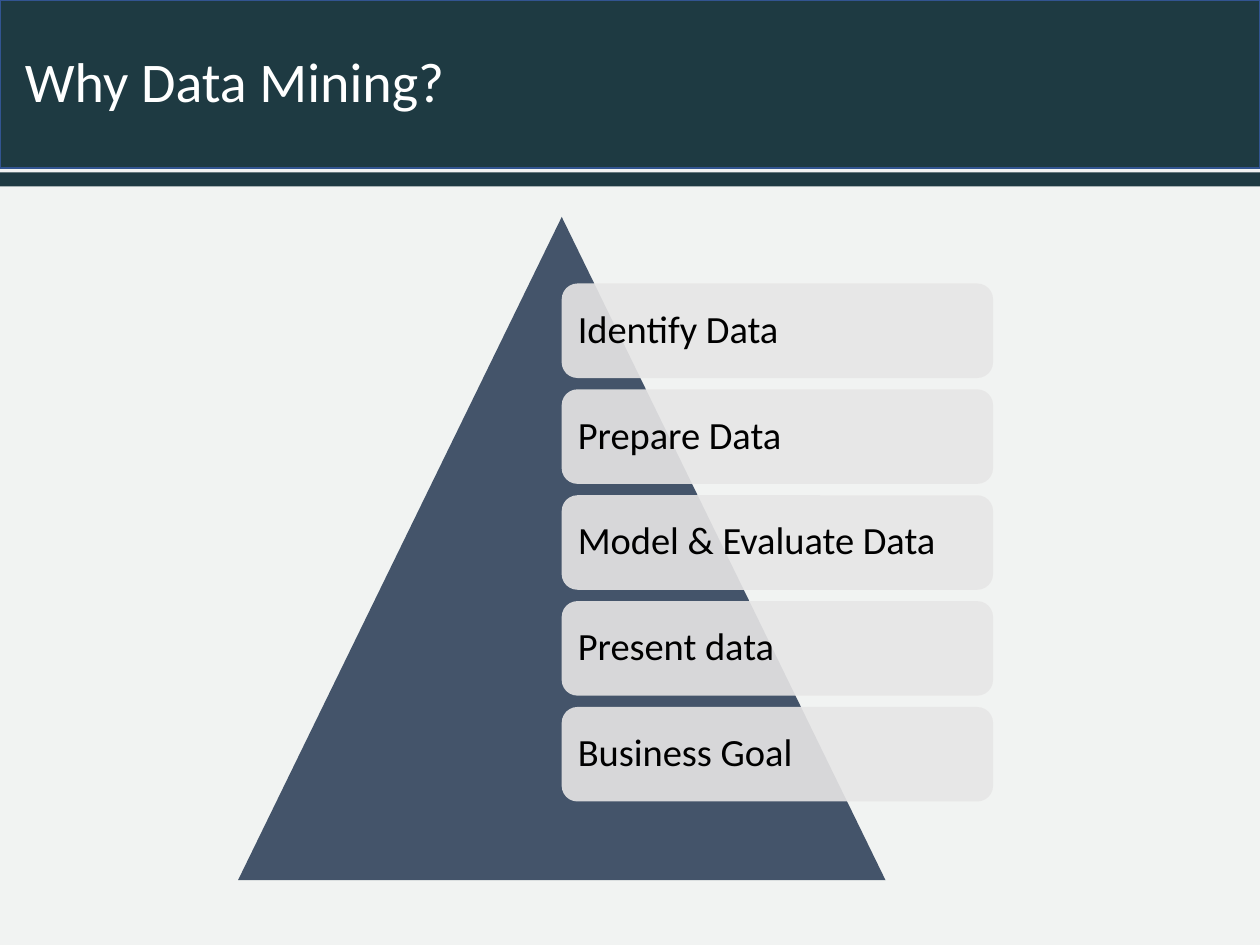
from typing import NamedTuple

from lxml import etree
from pptx import Presentation
from pptx.dml.color import RGBColor
from pptx.enum.shapes import MSO_SHAPE
from pptx.enum.text import MSO_ANCHOR, PP_ALIGN
from pptx.oxml.ns import qn
from pptx.util import Pt

RECT = MSO_SHAPE.RECTANGLE
ROUND = MSO_SHAPE.ROUNDED_RECTANGLE
PEAK = MSO_SHAPE.ISOSCELES_TRIANGLE
LEFT = PP_ALIGN.LEFT
MIDDLE = MSO_ANCHOR.MIDDLE

DARK, SLATE, GREY = "1E3A42", "44546A", "E7E6E6"
WIDE, HIGH, HEAD = 720, 540, 96
STEPS = ["Identify Data", "Prepare Data", "Model & Evaluate Data",
         "Present data", "Business Goal"]
CARD_TOP, PITCH = 162, 60.5


class Box(NamedTuple):
    left: float
    top: float
    width: float
    height: float


def paint(target, color: str) -> None:
    """Give a fill one solid colour."""
    target.solid()
    target.fore_color.rgb = RGBColor.from_string(color)


def write(shape, text: str, *, size: float, color: str, inset: float) -> None:
    """Put one left-aligned, centred line of text into a shape."""
    frame = shape.text_frame
    frame.word_wrap = True
    frame.vertical_anchor = MIDDLE
    frame.margin_left = frame.margin_right = Pt(inset)
    frame.margin_top = frame.margin_bottom = Pt(inset)
    frame.text = text
    para = frame.paragraphs[0]
    para.alignment = LEFT
    para.line_spacing = 0.9
    font = para.runs[0].font
    font.name, font.size = "Calibri", Pt(size)
    paint(font.fill, color)


def draw(slide, kind, box: Box, fill: str, line: str = "", alpha: int = 100):
    """Add a preset shape; alpha is the opacity in percent."""
    shape = slide.shapes.add_shape(kind, *map(Pt, box))
    shape.shadow.inherit = False
    paint(shape.fill, fill)
    if alpha < 100:
        tint = shape.element.spPr.find(qn("a:solidFill"))[0]
        etree.SubElement(tint, qn("a:alpha"), val=str(alpha * 1000))
    if line:
        paint(shape.line.fill, line)
        shape.line.width = Pt(1)
    else:
        shape.line.fill.background()
    return shape


def main() -> None:
    deck = Presentation()
    deck.slide_width, deck.slide_height = Pt(WIDE), Pt(HIGH)
    slide = deck.slides.add_slide(deck.slide_layouts[5])
    paint(slide.background.fill, "F1F3F2")

    # Header bands
    draw(slide, RECT, Box(0, 0, WIDE, HEAD), DARK, line="325491")
    draw(slide, RECT, Box(0, 98.5, WIDE, 8), DARK)

    # Title, raised above the bands
    title = slide.shapes.title
    title.left, title.top = Pt(7), Pt(0)
    title.width, title.height = Pt(WIDE - 7), Pt(HEAD)
    write(title, "Why Data Mining?", size=32, color="FFFFFF", inset=7.2)
    title.element.getparent().append(title.element)

    # Pyramid with its steps
    draw(slide, PEAK, Box(136, 124, 370, 379), SLATE)
    for i, step in enumerate(STEPS):
        box = Box(321, CARD_TOP + i * PITCH, 246.5, 54)
        card = draw(slide, ROUND, box, GREY, alpha=90)
        write(card, step, size=22, color="000000", inset=6.6)

    deck.save("out.pptx")


if __name__ == "__main__":
    main()
